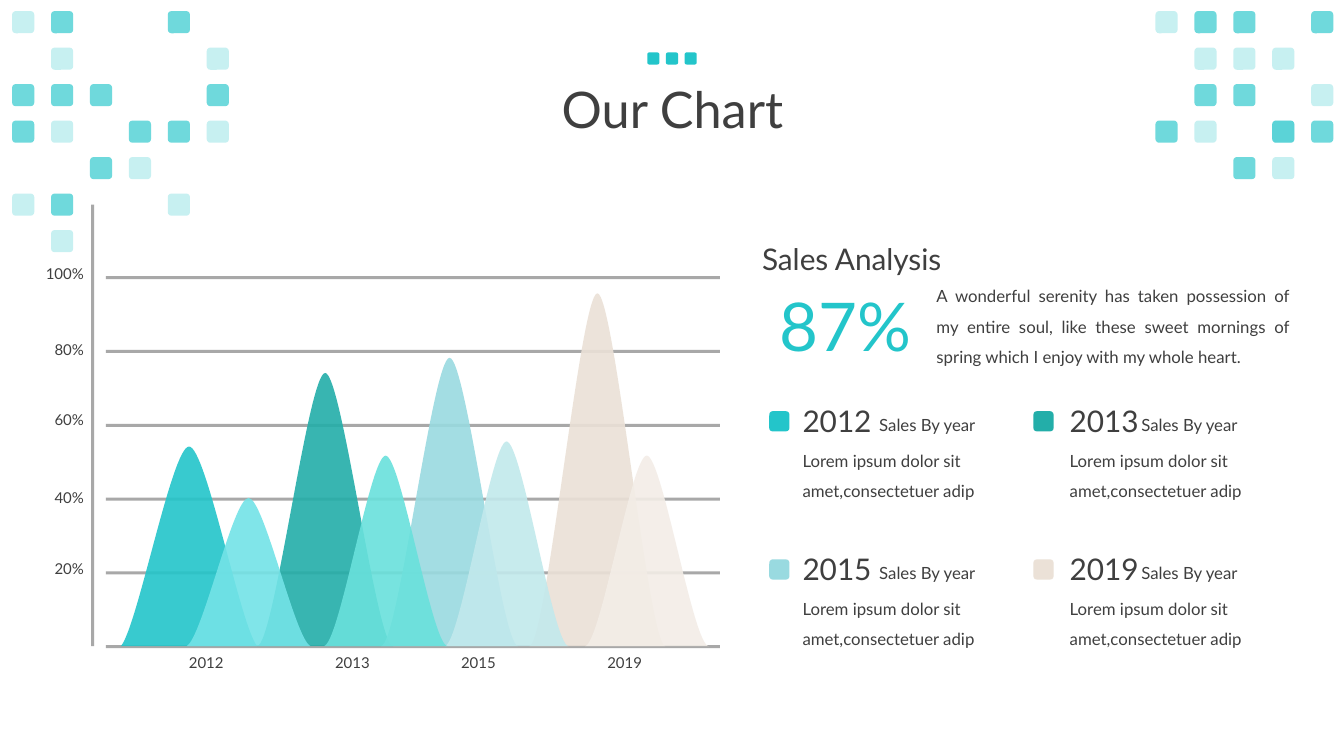
from lxml.etree import SubElement
from pptx import Presentation
from pptx.dml.color import RGBColor
from pptx.enum.shapes import MSO_CONNECTOR, MSO_SHAPE
from pptx.enum.text import MSO_ANCHOR, PP_ALIGN
from pptx.oxml.ns import qn
from pptx.util import Inches, Pt

COLORS = {
    "text": "3F3F3F", "grid": "9F9F9F", "accent": "23C5CA", "aqua": "73E3E7",
    "teal": "23AEA9", "mint": "69E1DC", "sky": "99DAE0", "ice": "C2E9EC",
    "sand": "EBE1D7", "cream": "F3EDE7",
}


def paint(s, fill, color, alpha=100):
    """Solid colour with optional opacity, and no shadow."""
    fill.solid()
    fill.fore_color.rgb = RGBColor.from_string(COLORS[color])
    spPr = s.element.spPr
    if alpha < 100:
        SubElement(spPr.find(".//" + qn("a:srgbClr")), qn("a:alpha"), val=str(alpha * 1000))
    if hasattr(s, "fill"):
        s.line.fill.background()
        s.shadow.inherit = False
    else:
        SubElement(spPr, qn("a:effectLst"))


def write(box, text, size, color="text", align=PP_ALIGN.LEFT, spacing=1.0, wrap=False,
          margins=(0.1, 0.05)):
    tf = box.text_frame
    tf.word_wrap = wrap
    tf.margin_left = tf.margin_right = Inches(margins[0])
    tf.margin_top = tf.margin_bottom = Inches(margins[1])
    tf.text = text
    p = tf.paragraphs[0]
    p.alignment = align
    p.line_spacing = spacing
    font = p.runs[0].font
    font.name, font.size = "Lato", Pt(size)
    font.color.rgb = RGBColor.from_string(COLORS[color])


prs = Presentation()
prs.slide_width, prs.slide_height = Inches(13.33), Inches(7.5)
slide = prs.slides.add_slide(prs.slide_layouts[5])
shapes = slide.shapes

# Title
title = shapes.title
title.left, title.top, title.width, title.height = map(Inches, (0.92, 0.39, 11.5, 1.45))
write(title, "Our Chart", 36, align=PP_ALIGN.CENTER, spacing=0.9, wrap=True)
title.text_frame.vertical_anchor = MSO_ANCHOR.MIDDLE

# Grid lines and vertical axis
lines = [(1.05, 2.755 + 0.732 * i, 7.14, 2.755 + 0.732 * i) for i in range(6)]
lines.append((0.92, 2.03, 0.92, 6.41))
for ends in lines:
    line = shapes.add_connector(MSO_CONNECTOR.STRAIGHT, *map(Inches, ends))
    line.line.width = Pt(2.16)
    paint(line, line.line.fill, "grid", 90)

# Bell curves: left foot, right foot, top, lift of the foot's control point, colour
BASE = 6.41
peaks = [
    (1.2, 2.55, 4.43, 0.21, "accent"), (5.25, 6.6, 2.91, 0, "sand"),
    (2.55, 3.9, 3.7, 0, "teal"), (3.78, 5.14, 3.55, 0, "sky"),
    (1.85, 3.08, 4.94, 0.07, "aqua"), (5.8, 7.03, 4.52, 0, "cream"),
    (4.41, 5.64, 4.38, 0, "ice"), (3.21, 4.44, 4.52, 0, "mint"),
]
for left, right, top, lift, color in peaks:
    width, height = right - left, BASE - top
    builder = shapes.build_freeform(Inches(left), Inches(BASE))
    builder.add_line_segments([(Inches(left + width / 2), Inches(top)),
                               (Inches(right), Inches(BASE))], close=True)
    s = builder.convert_to_shape()
    # Bend the two flanks into Bézier curves
    flanks = [
        [(width / 8, height - lift), (width * 3 / 8, 0), (width / 2, 0)],
        [(width * 5 / 8, 0), (width * 7 / 8, height - lift), (width, height)],
    ]
    segments = list(s.element.spPr.iter(qn("a:lnTo")))
    for segment, flank in zip(segments, flanks):
        curve = segment.makeelement(qn("a:cubicBezTo"))
        for x, y in flank:
            SubElement(curve, qn("a:pt"), x=str(Inches(x)), y=str(Inches(y)))
        segment.getparent().replace(segment, curve)
    paint(s, s.fill, color, 90)

# Axis labels
for label, top in [("20%", 5.5), ("40%", 4.8), ("60%", 4.02), ("80%", 3.33), ("100%", 2.58)]:
    box = shapes.add_textbox(Inches(0.34), Inches(top), Inches(0.59), Inches(0.28))
    write(box, label, 10.7, align=PP_ALIGN.RIGHT)
for label, left in [("2012", 1.77), ("2013", 3.22), ("2015", 4.47), ("2019", 5.92)]:
    box = shapes.add_textbox(Inches(left), Inches(6.43), Inches(0.55), Inches(0.28))
    write(box, label, 10.7, align=PP_ALIGN.CENTER)

# Sales analysis
box = shapes.add_textbox(Inches(7.46), Inches(2.34), Inches(2.12), Inches(0.46))
write(box, "Sales Analysis", 21.3)
box = shapes.add_textbox(Inches(9.19), Inches(2.69), Inches(3.7), Inches(0.97))
write(box, "A wonderful serenity has taken possession of my entire soul, like these sweet "
      "mornings of spring which I enjoy with my whole heart.", 12,
      align=PP_ALIGN.JUSTIFY, spacing=1.5, wrap=True)
box = shapes.add_textbox(Inches(7.63), Inches(2.77), Inches(1.53), Inches(0.91))
write(box, "87%", 48, "accent")

# Year legend: year, marker colour, marker left, year left, caption left, top
legend = [
    ("2012", "accent", 7.63, 7.83, 8.59, 3.92), ("2013", "teal", 10.25, 10.48, 11.19, 3.92),
    ("2015", "sky", 7.63, 7.83, 8.59, 5.39), ("2019", "sand", 10.25, 10.48, 11.19, 5.39),
]
for year, color, marker_left, year_left, caption_left, top in legend:
    s = shapes.add_shape(MSO_SHAPE.ROUNDED_RECTANGLE, Inches(marker_left), Inches(top + 0.16),
                         Inches(0.2), Inches(0.2))
    paint(s, s.fill, color)
    for text, size, spacing, left, offset, width, height in [
        (year, 21.3, 1.0, year_left, 0, 1.2, 0.55),
        ("Sales By year", 12, 1.0, caption_left, 0.12, 1.48, 0.29),
        ("Lorem ipsum dolor sit amet,consectetuer adip", 12, 1.5, year_left, 0.38, 2.18, 0.7),
    ]:
        box = shapes.add_textbox(Inches(left), Inches(top + offset), Inches(width), Inches(height))
        write(box, text, size, spacing=spacing, wrap=True, margins=(0.13, 0.07))

# Corner mosaics: l light, D dark, B both layered
OPACITY = {".": [], "l": [25], "D": [65], "B": [65, 25]}
mosaics = [
    (0.12, ["lD..D.", ".l...l", "DDD..D", "Dl.DDl", "..Dl..", "lD..l.", ".l...."]),
    (11.46, ["lDD.D", ".lll.", ".DD.l", "Dl.BD", "..Dl."]),
]
for origin, rows in mosaics:
    group = shapes.add_group_shape()
    for r, row in enumerate(rows):
        for c, cell in enumerate(row):
            for alpha in OPACITY[cell]:
                s = group.shapes.add_shape(
                    MSO_SHAPE.ROUNDED_RECTANGLE, Inches(origin + 0.386 * c),
                    Inches(0.11 + 0.362 * r), Inches(0.22), Inches(0.22))
                paint(s, s.fill, "accent", alpha)

# Three squares above the title
group = shapes.add_group_shape()
for i in range(3):
    s = group.shapes.add_shape(MSO_SHAPE.ROUNDED_RECTANGLE, Inches(6.42 + 0.185 * i),
                               Inches(0.52), Inches(0.12), Inches(0.12))
    paint(s, s.fill, "accent")

prs.save("out.pptx")
